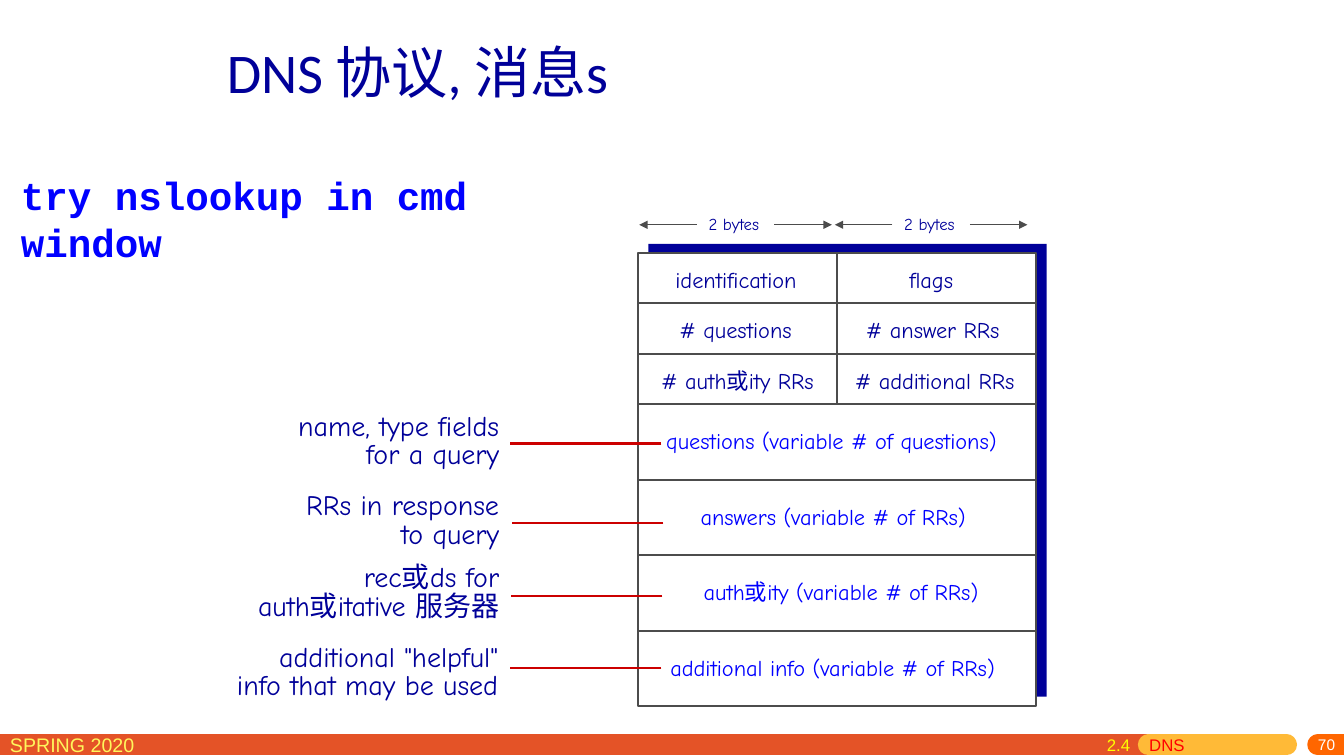
import pptx
import pptx.dml.color
import pptx.enum.shapes
import pptx.enum.text
import pptx.oxml.ns
import pptx.oxml.xmlchemy
import pptx.util

Inches = pptx.util.Inches
Pt = pptx.util.Pt
RGBColor = pptx.dml.color.RGBColor
Align = pptx.enum.text.PP_ALIGN
Anchor = pptx.enum.text.MSO_ANCHOR
OxmlElement = pptx.oxml.xmlchemy.OxmlElement

NAVY = RGBColor(0x00, 0x00, 0x99)
BLUE = RGBColor(0x00, 0x00, 0xFF)
GRAY = RGBColor(0x4C, 0x4C, 0x4C)
CRIMSON = RGBColor(0xCC, 0x00, 0x00)
RED = RGBColor(0xFF, 0x00, 0x00)
WHITE = RGBColor(0xFF, 0xFF, 0xFF)
YELLOW = RGBColor(0xFF, 0xFF, 0x00)
PALE_YELLOW = RGBColor(0xFF, 0xF6, 0x5C)
BRICK = RGBColor(0xE4, 0x53, 0x27)
AMBER = RGBColor(0xFF, 0xBA, 0x37)
ORANGE = RGBColor(0xFF, 0x66, 0x00)

LABEL = {"name": "Comic Neue", "size": Pt(20)}
FIELD = {"name": "Comic Neue", "size": Pt(16)}
BYTES = {"name": "Comic Neue", "size": Pt(12)}
TITLE = {"name": "Calibri", "size": Pt(40), "bold": False}
COMMAND = {"name": "Courier New", "size": Pt(28), "bold": True}
FOOTER = {"name": "Arial", "size": Pt(14)}
SECTION = {"name": "Arial", "size": Pt(12)}
NUMBER = {"name": "Arial", "size": Pt(11)}

TABLE_LEFT, TABLE_TOP = 6.33, 2.51
TABLE_WIDTH, TABLE_HEIGHT = 3.95, 4.49
HEADER_ROW, SECTION_ROW = 0.5, 0.75
FOOTER_Y = 7.39


def set_values(target, values):
    for name, value in values.items():
        setattr(target, name, value)


def add_span(para, text, font, color):
    span = para.add_run()
    span.text = text
    set_values(span.font, font)
    span.font.color.rgb = color


def add_text(page, place, lines, font, color, frame=None, para_format=None):
    box = page.shapes.add_textbox(*map(Inches, place))
    set_values(box.text_frame, {"word_wrap": False, **(frame or {})})
    for index, line in enumerate(lines):
        para = box.text_frame.add_paragraph() if index else box.text_frame.paragraphs[0]
        set_values(para, para_format or {})
        add_span(para, line, font, color)
    return box


def add_line(page, start, end, color, width, arrow=False, cap=None):
    line = page.shapes.add_connector(
        pptx.enum.shapes.MSO_CONNECTOR.STRAIGHT, *map(Inches, start + end))
    line.line.color.rgb = color
    line.line.width = Pt(width)
    properties = line.element.spPr
    outline = properties.find(pptx.oxml.ns.qn("a:ln"))
    if cap:
        outline.set("cap", cap)
    if arrow:
        tail = OxmlElement("a:tailEnd")
        tail.set("type", "triangle")
        outline.append(tail)
    properties.append(OxmlElement("a:effectLst"))


def add_panel(page, left, top, fill, border=None):
    panel = page.shapes.add_shape(
        pptx.enum.shapes.MSO_SHAPE.RECTANGLE,
        *map(Inches, (left, top, TABLE_WIDTH, TABLE_HEIGHT)))
    panel.shadow.inherit = False
    panel.fill.solid()
    panel.fill.fore_color.rgb = fill
    if border is None:
        panel.line.fill.background()
    else:
        panel.line.color.rgb = border
        panel.line.width = Pt(1.5)


def add_title(page):
    title = page.shapes.title
    set_values(title, {"left": Inches(2.15), "top": Inches(0.24),
                       "width": Inches(8.5), "height": Inches(0.94)})
    set_values(title.text_frame, {"vertical_anchor": Anchor.MIDDLE,
                                  "auto_size": pptx.enum.text.MSO_AUTO_SIZE.NONE})
    para = title.text_frame.paragraphs[0]
    para.alignment = Align.LEFT
    add_span(para, "DNS 协议, 消息s", TITLE, NAVY)


def add_footer(page):
    for left, right, color, cap in (
            (0, 11.39, BRICK, "flat"),
            (11.39, 12.76, AMBER, "rnd"),
            (13.07, 13.33, ORANGE, "rnd")):
        add_line(page, (left, FOOTER_Y), (right, FOOTER_Y), color, 15, cap=cap)
    add_text(page, (0, 7.22, 2.29, 0.31), ["SPRING 2020"], FOOTER, PALE_YELLOW,
             {"word_wrap": True})
    add_text(page, (10.75, 7.32, 2.59, 0.18), ["70"], NUMBER, WHITE,
             {"word_wrap": True, "vertical_anchor": Anchor.MIDDLE,
              "margin_top": 0, "margin_bottom": Inches(0.05)},
             {"alignment": Align.RIGHT})
    section = add_text(page, (10.88, 7.24, 2.13, 0.31), ["2.4\t"], SECTION, YELLOW,
                       {"word_wrap": True})
    para = section.text_frame.paragraphs[0]
    add_span(para, "DNS", SECTION, RED)
    tabs = OxmlElement("a:tabLst")
    tab = OxmlElement("a:tab")
    tab.set("pos", str(Inches(0.42)))
    tab.set("algn", "l")
    tabs.append(tab)
    para._p.get_or_add_pPr().append(tabs)


def add_byte_scale(page, left):
    y = 2.23
    add_text(page, (left + 0.59, 2.07, 0.8, 0.3), ["2 bytes"], BYTES, NAVY)
    add_line(page, (left + 1.34, y), (left + 1.91, y), GRAY, 0.75, arrow=True)
    add_line(page, (left + 0.57, y), (left, y), GRAY, 0.75, arrow=True)


def add_message_table(page):
    add_panel(page, TABLE_LEFT + 0.1, TABLE_TOP - 0.09, NAVY)
    add_panel(page, TABLE_LEFT, TABLE_TOP, WHITE, GRAY)
    header_bottom = TABLE_TOP + 3 * HEADER_ROW
    rules = [TABLE_TOP + row * HEADER_ROW for row in (1, 2, 3)]
    rules += [header_bottom + row * SECTION_ROW for row in (1, 2, 3)]
    for y in rules:
        add_line(page, (TABLE_LEFT, y), (TABLE_LEFT + TABLE_WIDTH, y), GRAY, 1.5)
    middle = TABLE_LEFT + TABLE_WIDTH / 2
    add_line(page, (middle, TABLE_TOP), (middle, header_bottom), GRAY, 1.5)

    header = (
        ((6.6, 1.62, "identification"), (8.92, 0.72, "flags")),
        ((6.64, 1.44, "# questions"), (8.49, 1.64, "# answer RRs")),
        ((6.46, 1.89, "# auth或ity RRs"), (8.38, 1.94, "# additional RRs")))
    for row, cells in enumerate(header):
        for left, width, text in cells:
            add_text(page, (left, 2.59 + row * HEADER_ROW, width, 0.37),
                     [text], FIELD, NAVY)

    sections = (
        (6.51, 3.84, "questions (variable # of questions)"),
        (6.85, 3.11, "answers (variable # of RRs)"),
        (6.88, 3.25, "auth或ity (variable # of RRs)"),
        (6.55, 3.77, "additional info (variable # of RRs)"))
    for row, (left, width, text) in enumerate(sections):
        add_text(page, (left, 4.19 + row * SECTION_ROW, width, 0.37),
                 [text], FIELD, BLUE)


def add_callout(page, left, top, right, pointer, lines):
    add_text(page, (left, top, right - left, 0.67), lines, LABEL, NAVY,
             {"vertical_anchor": Anchor.MIDDLE},
             {"alignment": Align.RIGHT, "line_spacing": 0.85})
    add_line(page, (pointer[0] + 1.5, pointer[1]), pointer, CRIMSON, 1.5)


def main():
    deck = pptx.Presentation()
    set_values(deck, {"slide_width": Inches(13.33), "slide_height": Inches(7.5)})
    page = deck.slides.add_slide(deck.slide_layouts[5])
    add_footer(page)
    add_title(page)
    add_message_table(page)
    for left in (6.34, 8.28):
        add_byte_scale(page, left)
    add_callout(page, 2.6, 4.05, 5.05, (5.06, 4.4),
                ["name, type fields", "for a query"])
    add_callout(page, 2.68, 4.84, 5.05, (5.08, 5.19),
                ["RRs in response", "to query"])
    add_callout(page, 2.2, 5.55, 5.05, (5.07, 5.91),
                ["rec或ds for", "auth或itative 服务器"])
    add_callout(page, 1.99, 6.34, 5.04, (5.06, 6.63),
                ['additional "helpful"', "info that may be used"])
    add_text(page, (0.11, 1.65, 6, 0.57), ["try nslookup in cmd window"],
             COMMAND, BLUE, {"word_wrap": True})
    deck.save("out.pptx")


if __name__ == "__main__":
    main()
